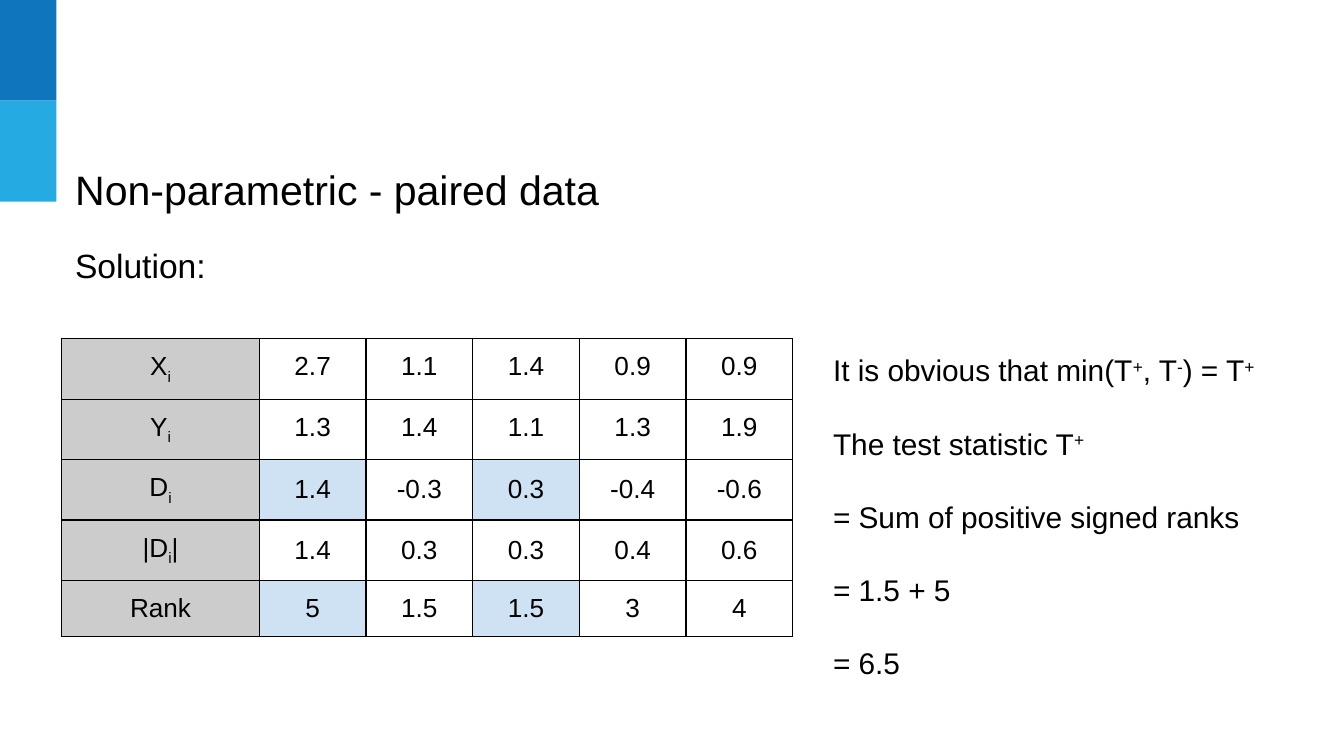
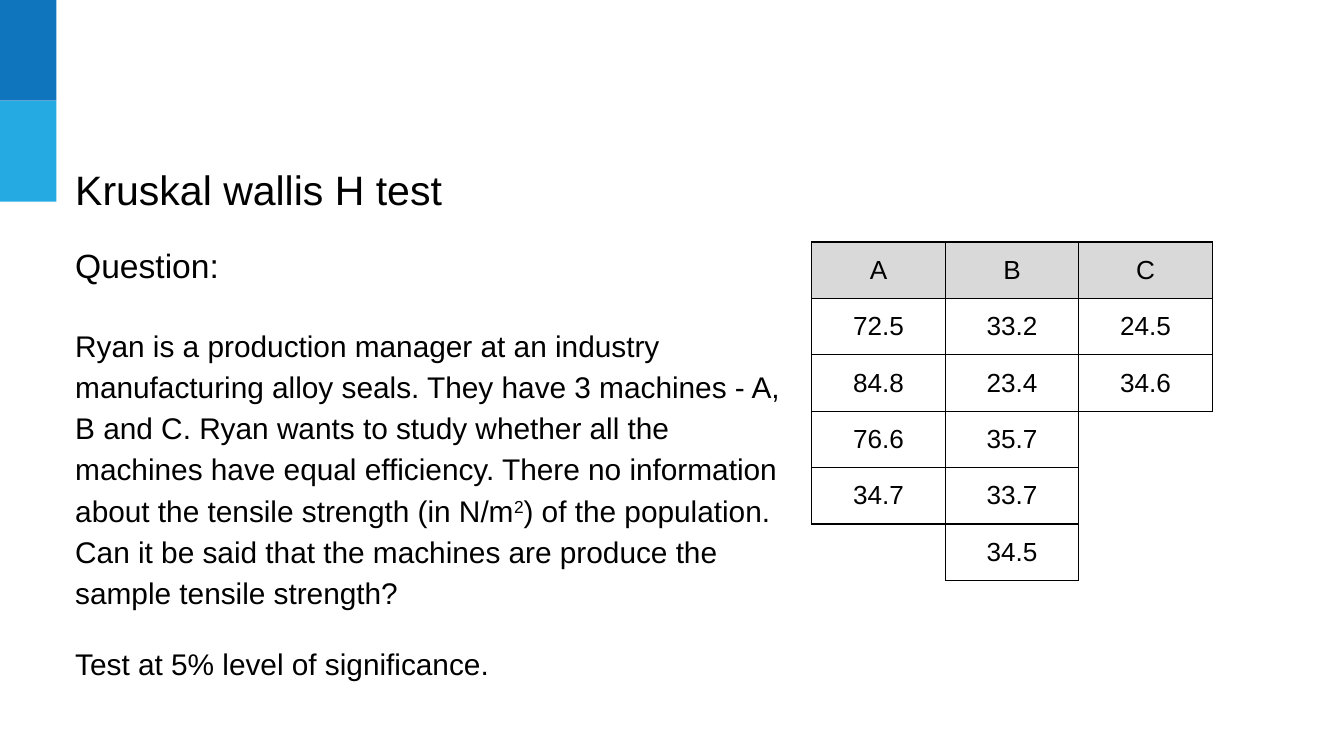
from lxml import etree
from pptx import Presentation
from pptx.dml.color import RGBColor
from pptx.enum.shapes import MSO_SHAPE as Shape
from pptx.enum.text import MSO_ANCHOR as Anchor, MSO_AUTO_SIZE as Fit, PP_ALIGN as Align
from pptx.oxml.ns import qn
from pptx.util import Inches, Pt

FONT = "Arial"
BLACK, BLUE, SKY = "000000", "0F75BD", "25AAE2"
GRAY, PALE, LIGHT = "CCCCCC", "D9D9D9", "CFE2F3"
SUPER, SUB = 30000, -25000
PLAIN = "{2D5ABB26-0587-4C30-8999-92F81FD0307C}"
LEFT, ROW = 0.46, 0.42
SIDES = {"lnL": (0, -1), "lnR": (0, 1), "lnT": (-1, 0), "lnB": (1, 0)}


def color(code):
    return RGBColor.from_string(code)


def write(para, text, size, shift=SUPER):
    """Write text in runs; parts between tildes are raised or lowered by shift."""
    for i, part in enumerate(text.split("~")):
        if not part:
            continue
        run = para.add_run()
        run.text = part
        run.font.name, run.font.size = FONT, Pt(size)
        run.font.color.rgb = color(BLACK)
        if i % 2:
            run._r.get_or_add_rPr().set("baseline", str(shift))


def fill_text(shape, box, lines):
    """Place the shape and fill it; a line is text, size, spacing, before, after."""
    shape.left, shape.top, shape.width, shape.height = map(Inches, box)
    frame = shape.text_frame
    frame.word_wrap, frame.auto_size = True, Fit.NONE
    frame.vertical_anchor = Anchor.TOP
    frame.margin_left = frame.margin_right = Inches(0.1)
    frame.margin_top = frame.margin_bottom = Inches(0.1)
    for i, (text, size, spacing, before, after) in enumerate(lines):
        para = frame.add_paragraph() if i else frame.paragraphs[0]
        props = para._p.get_or_add_pPr()
        props.set("marL", "0")
        props.set("indent", "0")
        etree.SubElement(props, qn("a:buNone"))
        para.alignment, para.line_spacing = Align.LEFT, spacing
        para.space_before, para.space_after = Pt(before), Pt(after)
        write(para, text, size)


def add_text(slide, box, lines):
    fill_text(slide.shapes.add_textbox(*map(Inches, box)), box, lines)


def add_base(deck, layout, title):
    """Start a slide with the two corner bands and its title."""
    slide = deck.slides.add_slide(deck.slide_layouts.get_by_name(layout))
    for i, code in enumerate((BLUE, SKY)):
        band = slide.shapes.add_shape(
            Shape.RECTANGLE, 0, Inches(0.75 * i), Inches(0.42), Inches(0.75))
        band.shadow.inherit = False
        band.fill.solid()
        band.fill.fore_color.rgb = color(code)
        band.line.fill.background()
    fill_text(slide.shapes.title, (LEFT, 1.07, 5.84, 0.43),
              [(title, 22, 1.15, 0, 16)])
    return slide


def add_edge(cell, side, drawn):
    props = cell._tc.get_or_add_tcPr()
    line = etree.SubElement(props, qn("a:" + side), w=str(Pt(0.75)))
    if drawn:
        fill = etree.SubElement(line, qn("a:solidFill"))
        etree.SubElement(fill, qn("a:srgbClr"), val=BLACK)
    else:
        etree.SubElement(line, qn("a:noFill"))


def add_grid(slide, left, top, widths, rows, fills, high=()):
    """Draw a table with edges round its filled cells; rows in high align to the top."""
    frame = slide.shapes.add_table(
        len(rows), len(widths), Inches(left), Inches(top),
        Inches(sum(widths)), Inches(ROW * len(rows)))
    table = frame.table
    table._tbl.tblPr.find(qn("a:tableStyleId")).text = PLAIN
    table.first_row = table.horz_banding = False
    for col, width in zip(table.columns, widths):
        col.width = Inches(width)

    def used(r, c):
        return 0 <= r < len(rows) and 0 <= c < len(widths) and rows[r][c] != ""

    for r, row in enumerate(rows):
        table.rows[r].height = Inches(ROW)
        for c, text in enumerate(row):
            cell = table.cell(r, c)
            if text:
                cell.margin_left = cell.margin_right = Inches(0.1)
                cell.margin_top = cell.margin_bottom = Inches(0.1)
                cell.vertical_anchor = Anchor.TOP if r in high and c else Anchor.MIDDLE
                para = cell.text_frame.paragraphs[0]
                para.alignment = Align.CENTER
                write(para, text, 14, SUB)
            for side, (down, over) in SIDES.items():
                add_edge(cell, side, used(r, c) or used(r + down, c + over))
            if (r, c) in fills:
                cell.fill.solid()
                cell.fill.fore_color.rgb = color(fills[r, c])
            else:
                cell.fill.background()


def add_paired(deck):
    slide = add_base(deck, "Title Only", "Non-parametric - paired data")
    add_text(slide, (LEFT, 1.72, 9.19, 0.69), [("Solution:", 18, 1, 0, 0)])
    rows = [
        ["X~i~", "2.7", "1.1", "1.4", "0.9", "0.9"],
        ["Y~i~", "1.3", "1.4", "1.1", "1.3", "1.9"],
        ["D~i~", "1.4", "-0.3", "0.3", "-0.4", "-0.6"],
        ["|D~i~|", "1.4", "0.3", "0.3", "0.4", "0.6"],
        ["Rank", "5", "1.5", "1.5", "3", "4"],
    ]
    fills = {(r, 0): GRAY for r in range(len(rows))}
    fills.update({(r, c): LIGHT for r in (2, 4) for c in (1, 3)})
    add_grid(slide, LEFT, 2.52, [1.47] + [3.97 / 5] * 5, rows, fills, high=(0, 1))
    steps = ["It is obvious that min(T~+~, T~-~) = T~+~", "The test statistic T~+~",
             "= Sum of positive signed ranks", "= 1.5 + 5", "= 6.5"]
    last = len(steps) - 1
    add_text(slide, (6.1, 2.52, 3.61, 2.58),
             [(step, 16, 1, 20 if i else 0, 20 if i == last else 0)
              for i, step in enumerate(steps)])


def add_kruskal(deck):
    slide = add_base(deck, "Title and Content", "Kruskal wallis H test")
    story = (
        "Ryan is a production manager at an industry manufacturing alloy seals. "
        "They have 3 machines - A, B and C. Ryan wants to study whether all the "
        "machines have equal efficiency. There no information about the tensile "
        "strength (in N/m~2~) of the population. Can it be said that the machines "
        "are produce the sample tensile strength?")
    fill_text(slide.placeholders[1], (LEFT, 1.72, 5.51, 3.5), [
        ("Question:", 18, 1, 0, 0),
        (story, 16, 1.15, 20, 0),
        ("Test at 5% level of significance.", 16, 1.15, 16, 16)])
    rows = [
        ["A", "B", "C"],
        ["72.5", "33.2", "24.5"],
        ["84.8", "23.4", "34.6"],
        ["76.6", "35.7", ""],
        ["34.7", "33.7", ""],
        ["", "34.5", ""],
    ]
    add_grid(slide, 6.04, 1.8, [2.98 / 3] * 3, rows, {(0, c): PALE for c in range(3)})


def main():
    deck = Presentation()
    deck.slide_width = Inches(10)
    deck.slide_height = deck.slide_width * 9 // 16
    add_paired(deck)
    add_kruskal(deck)
    deck.save("out.pptx")


if __name__ == "__main__":
    main()
